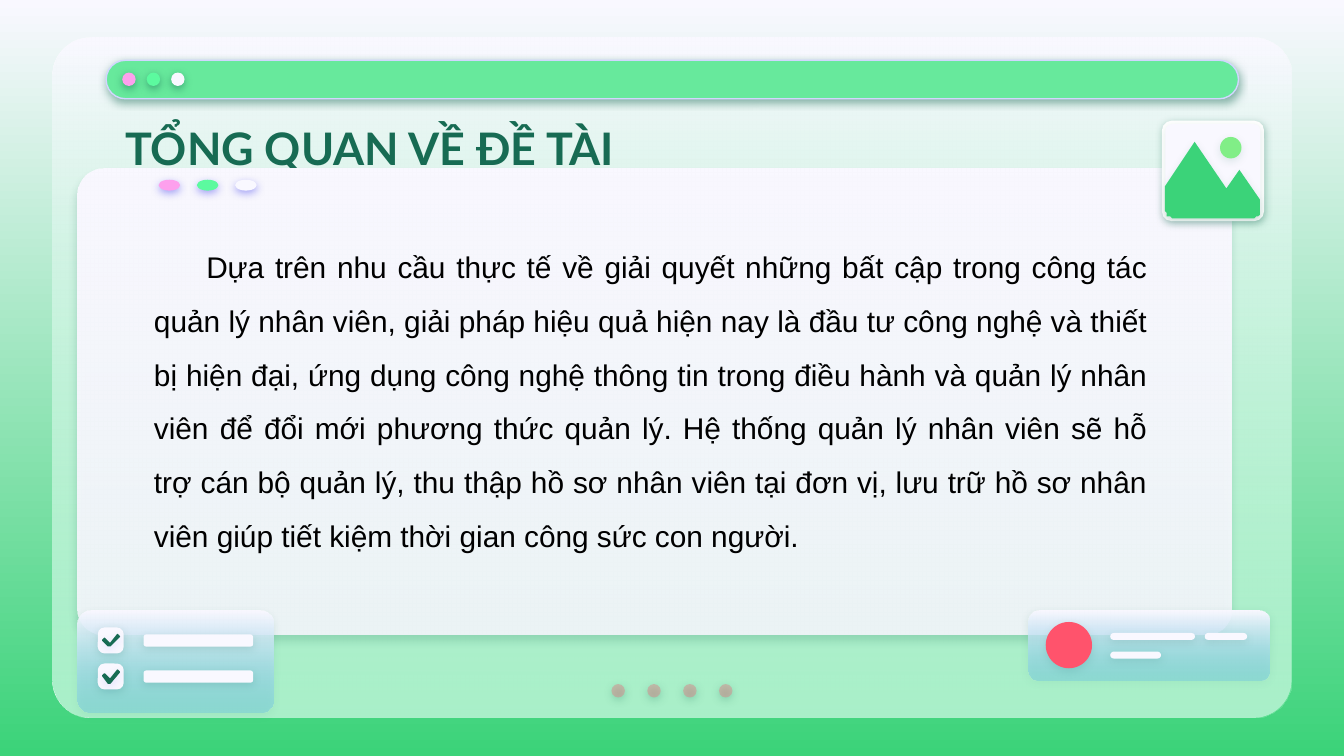
import math
from lxml import etree
from pptx import Presentation
from pptx.dml.color import RGBColor
from pptx.enum.shapes import MSO_SHAPE
from pptx.enum.text import MSO_ANCHOR, PP_ALIGN
from pptx.oxml.ns import qn
from pptx.util import Pt

ROUND = MSO_SHAPE.ROUNDED_RECTANGLE
OVAL = MSO_SHAPE.OVAL
JUSTIFY = PP_ALIGN.JUSTIFY
LEFT = PP_ALIGN.LEFT
MIDDLE = MSO_ANCHOR.MIDDLE
TOP = MSO_ANCHOR.TOP

COLORS = {
    "pale": "F9F8FF", "white": "FFFFFF", "black": "000000", "forest": "176B53",
    "green": "3BD379", "mint": "67E99C", "bright": "5CFA9F", "lime": "81EE87",
    "pink": "FDA0ED", "rose": "E27B83", "red": "FF536C", "sky": "66BEE9",
    "lilac": "D2D6FF", "indigo": "5352EE",
}
TITLE = "TỔNG QUAN VỀ ĐỀ TÀI"
BODY = (
    "Dựa trên nhu cầu thực tế về giải quyết những bất cập trong công tác quản lý nhân viên, "
    "giải pháp hiệu quả hiện nay là đầu tư công nghệ và thiết bị hiện đại, ứng dụng công nghệ "
    "thông tin trong điều hành và quản lý nhân viên để đổi mới phương thức quản lý. Hệ thống "
    "quản lý nhân viên sẽ hỗ trợ cán bộ quản lý, thu thập hồ sơ nhân viên tại đơn vị, lưu trữ "
    "hồ sơ nhân viên giúp tiết kiệm thời gian công sức con người."
)
DOT_ROWS = {
    "footer": {"box": (327.6, 366.5, 7.2, 7.2), "step": 19.2,
               "fills": [("rose", 44)] * 4, "shadow": ("forest", 50, 1.5, 90)},
    "bar": {"box": (65.5, 38.9, 7.2, 7.2), "step": 13.1,
            "fills": ["pink", "bright", "pale"], "shadow": ("forest", 50, 1.5, 90)},
    "card": {"box": (85, 96.3, 11.5, 5.8), "step": 20.5,
             "fills": ["pink", "bright", "pale"], "shadow": ("indigo", 50, 1.5, 90)},
}
CHECK = [(10.9, 3.7), (11.4, 4.6), (6.7, 10.3), (6.1, 10.3),
         (2.5, 6.7), (3.2, 5.9), (6.4, 8.8)]
BADGE_LINES = [(594.8, 339.1, 45.4), (645.4, 339.1, 22.7), (594.8, 349.1, 27.2)]
PEAKS = [(675.2, 106.6), (663.8, 90.7), (656.6, 100.8), (640.1, 76.5), (624.4, 100.1)]
FRAME = (624.4, 66.6, 50.8, 50)
CORNER = 3.4
SOFT = ("forest", 15, 1.5, 90)
FAINT = ("forest", 13, 1.5, 90)


def rgb(name):
    return RGBColor.from_string(COLORS[name])


def set_alpha(parent, percent):
    color = next(parent.iter(qn("a:srgbClr")))
    etree.SubElement(color, qn("a:alpha"), val=str(percent * 1000))


def paint_gradient(fill, start, end, alpha=None):
    fill.gradient()
    fill.gradient_angle = 270
    for stop, name, position in zip(fill.gradient_stops, (start, end), (0, 1)):
        stop.color.rgb = rgb(name)
        stop.position = position
    return fill.gradient_stops[1], alpha


def style(shape, fill, shadow=None, line=None):
    properties = shape.element.spPr
    if isinstance(fill, tuple) and len(fill) == 3:
        paint_gradient(shape.fill, fill[0], fill[1])
        set_alpha(properties.findall(".//" + qn("a:gs"))[1], fill[2])
    else:
        name, alpha = fill if isinstance(fill, tuple) else (fill, None)
        shape.fill.solid()
        shape.fill.fore_color.rgb = rgb(name)
        if alpha:
            set_alpha(properties, alpha)
    if line:
        shape.line.color.rgb = rgb(line)
        shape.line.width = Pt(0.75)
    else:
        shape.line.fill.background()
    shape.shadow.inherit = False
    if shadow:
        name, alpha, distance, angle = shadow
        outer = etree.SubElement(
            properties.find(qn("a:effectLst")), qn("a:outerShdw"),
            blurRad=str(Pt(4.5)), dist=str(Pt(distance)), dir=str(angle * 60000),
            algn="bl", rotWithShape="0")
        etree.SubElement(outer, qn("a:srgbClr"), val=COLORS[name])
        set_alpha(outer, alpha)


def add_shape(group, kind, box, fill, radius=None, **look):
    shape = group.shapes.add_shape(kind, *[Pt(value) for value in box])
    if radius is not None:
        shape.adjustments[0] = min(0.5, radius / min(box[2:]))
    style(shape, fill, **look)


def add_outline(group, points, fill, **look):
    builder = group.shapes.build_freeform(*points[0], scale=Pt(1))
    builder.add_line_segments(points[1:], close=True)
    style(builder.convert_to_shape(), fill, **look)


def add_dots(group, row):
    left, top, width, height = row["box"]
    for index, fill in enumerate(row["fills"]):
        add_shape(group, OVAL, (left + index * row["step"], top, width, height),
                  fill, shadow=row["shadow"])


def write(box, place, text, *, size, font, color, bold=False, align=LEFT,
          anchor=TOP, spacing=1.0, indent=0, padding=3.6):
    box.left, box.top, box.width, box.height = [Pt(value) for value in place]
    frame = box.text_frame
    frame.word_wrap = True
    frame.vertical_anchor = anchor
    frame.margin_left = frame.margin_right = Pt(7.2)
    frame.margin_top = frame.margin_bottom = Pt(padding)
    para = frame.paragraphs[0]
    para.alignment = align
    para.line_spacing = spacing
    if indent:
        para._p.get_or_add_pPr().set("indent", str(Pt(indent)))
    span = para.add_run()
    span.text = text
    span.font.size = Pt(size)
    span.font.name = font
    span.font.bold = bold
    span.font.color.rgb = rgb(color)


def rounded_corner(center_x, center_y, start):
    angles = [math.radians(start + 15 * step) for step in range(7)]
    return [(center_x + CORNER * math.cos(angle), center_y + CORNER * math.sin(angle))
            for angle in angles]


def main():
    deck = Presentation()
    deck.slide_width, deck.slide_height = Pt(720), Pt(405)
    page = deck.slides.add_slide(deck.slide_layouts[5])
    paint_gradient(page.background.fill, "pale", "green")

    window = page.shapes.add_group_shape()
    for fill in ("pale", ("pale", "mint", 54)):
        add_shape(window, ROUND, (28, 20.2, 664, 364.4), fill, radius=20.4)
    add_dots(window, DOT_ROWS["footer"])
    add_shape(window, ROUND, (56.9, 32.3, 606.6, 20.6), "mint", radius=10.3,
              line="lilac", shadow=("forest", 50, 1.5, 90))
    add_dots(window, DOT_ROWS["bar"])

    title = page.shapes.title
    write(title, (59.8, 58.3, 288, 41), TITLE, size=24, font="Lato", color="forest",
          bold=True, anchor=MIDDLE, padding=7.2)
    page.shapes.element.append(title.element)

    card = page.shapes.add_group_shape()
    add_shape(card, ROUND, (41.5, 90.6, 618, 249.3), ("pale", "pale", 87), radius=14,
              shadow=("forest", 22, 3.8, 91))
    add_dots(card, DOT_ROWS["card"])

    checklist = page.shapes.add_group_shape()
    add_shape(checklist, ROUND, (41.5, 327.3, 104.8, 54.7), ("pale", "sky", 35),
              radius=7.2, shadow=SOFT)
    for top in (336.2, 355.5):
        add_shape(checklist, ROUND, (76.9, top + 3.7, 58.7, 6.5), "pale", radius=1.4,
                  shadow=SOFT)
        add_shape(checklist, ROUND, (52.4, top, 13.9, 13.9), "pale", radius=3.6, shadow=SOFT)
        add_outline(checklist, [(52.4 + x, top + y) for x, y in CHECK], "forest",
                    line="forest", shadow=("indigo", 15, 1.5, 90))

    badge = page.shapes.add_group_shape()
    add_shape(badge, ROUND, (550.8, 327, 129.4, 37.4), ("pale", "sky", 35), radius=5.8,
              shadow=FAINT)
    add_shape(badge, OVAL, (560.2, 333.2, 24.8, 24.8), "red", shadow=FAINT)
    for left, top, width in BADGE_LINES:
        add_shape(badge, ROUND, (left, top, width, 3.7), "pale", radius=1.85, shadow=FAINT)

    landscape = page.shapes.add_group_shape()
    add_shape(landscape, ROUND, (622.5, 64.7, 54.7, 53.8), "white", radius=5.2,
              shadow=("forest", 33, 1.5, 64))
    add_shape(landscape, ROUND, FRAME, "pale", radius=CORNER, shadow=FAINT)
    left, top, width, height = FRAME
    base = top + height - CORNER
    ground = (rounded_corner(left + CORNER, base, 90)[::-1]
              + rounded_corner(left + width - CORNER, base, 0)[::-1])
    add_outline(landscape, PEAKS + ground, "green", shadow=FAINT)
    add_shape(landscape, OVAL, (653.6, 73.4, 11.5, 11.5), "lime", shadow=FAINT)

    place = (75.4, 120.2, 546.5, 177.8)
    body = page.shapes.add_textbox(*[Pt(value) for value in place])
    write(body, place, BODY, size=16, font="Arial", color="black", align=JUSTIFY,
          spacing=1.5, indent=28)
    deck.save("out.pptx")


if __name__ == "__main__":
    main()
